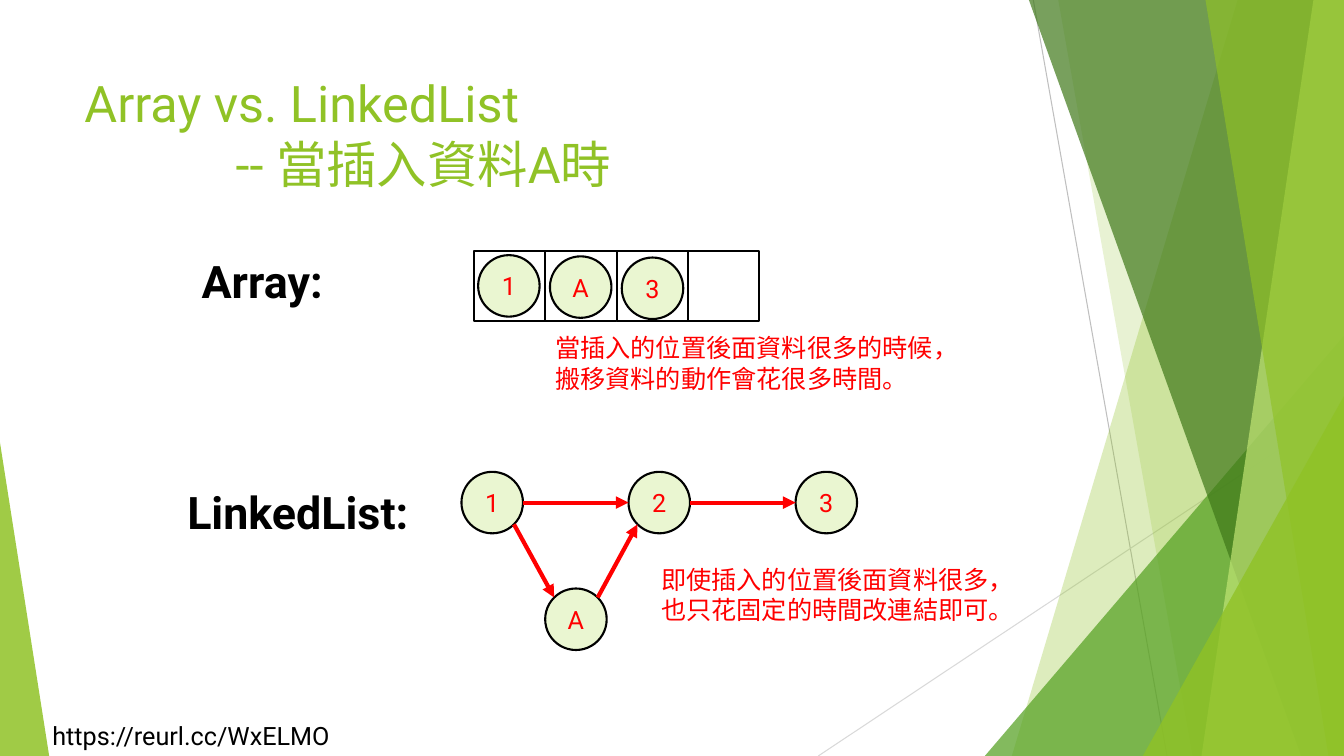
import math
import pptx
import pptx.util
import pptx.dml.color
import pptx.enum.shapes
import pptx.enum.text
import pptx.oxml
import pptx.oxml.ns

Cm = pptx.util.Cm
Pt = pptx.util.Pt
Kind = pptx.enum.shapes.MSO_SHAPE
Fit = pptx.enum.text.MSO_AUTO_SIZE
Anchor = pptx.enum.text.MSO_ANCHOR
Align = pptx.enum.text.PP_ALIGN

WIDE, HIGH = 33.87, 19.05
FACE = "Roboto"
HUES = {
    "green": "90C226", "leaf": "54A021", "dark": "3F7819", "lime": "C0E474",
    "pale": "EAF6D1", "red": "FF0000", "black": "000000", "white": "FFFFFF",
    "gray": "BFBFBF", "light": "D9D9D9",
}

RAYS = [
    ((26.04, 0), (29.41, HIGH), "gray"),
    ((WIDE, 10.24), (20.62, HIGH), "light"),
]
FACETS = [
    ("band", (31.19, 25.5), "green", 30),
    ("band", (26.67, 30.05), "green", 20),
    ("wedge", (24.82, 8.46, 9.05, 1), "leaf", 72),
    ("band", (25.93, 32.79), "dark", 70),
    ("band", (33.1, 30.28), "lime", 70),
    ("band", (30.38, 33.48), "green", 65),
    ("wedge", (28.8, 9.98, 5.07, 1), "green", 80),
    ("wedge", (0, 11.15, 1.24, 0), "green", 85),
]
TITLE = [("Array vs. LinkedList", 0), ("-- 當插入資料A時", 3.81)]
TEXTS = [
    (["https://reurl.cc/WxELMO"], (1.07, 18.03, 7.92, 1.02), 18, "black", False),
    (["Array:"], (4.83, 6.27, 3.81, 1.63), 32, "black", True),
    (["LinkedList:"], (4.47, 12.09, 6.43, 1.63), 32, "black", True),
    (["當插入的位置後面資料很多的時候，", "搬移資料的動作會花很多時間。"],
     (13.74, 8.26, 10.77, 1.8), 18, "red", False),
    (["即使插入的位置後面資料很多，", "也只花固定的時間改連結即可。"],
     (16.41, 14.1, 9.5, 1.8), 18, "red", False),
]
SLOTS, ITEMS = 4, ["1", "A", "3"]
CELL = (11.94, 6.32, 1.8, 1.78)
DISK = 1.55
NODES = {
    "1": (11.63, 11.89), "2": (15.84, 11.89), "3": (20.05, 11.89),
    "A": (13.74, 14.83),
}
LINKS = [("1", 0, "2", 180), ("2", 0, "3", 180), ("A", -45, "2", 135), ("1", 45, "A", 225)]

deck = pptx.Presentation()
deck.slide_width, deck.slide_height = Cm(WIDE), Cm(HIGH)
page = deck.slides.add_slide(deck.slide_layouts[6])
shapes = page.shapes


def tint(name):
    return pptx.dml.color.RGBColor.from_string(HUES[name])


def node(tag, **attrs):
    part = pptx.oxml.parse_xml(f"<a:{tag} {pptx.oxml.ns.nsdecls('a')}/>")
    for key, val in attrs.items():
        part.set(key, str(val))
    return part


def paint(shape, fill, edge=None, alpha=None):
    shape.shadow.inherit = False
    shape.fill.solid()
    shape.fill.fore_color.rgb = tint(fill)
    if alpha:
        color = shape._element.spPr.find(".//" + pptx.oxml.ns.qn("a:srgbClr"))
        color.append(node("alpha", val=alpha * 1000))
    if edge:
        shape.line.color.rgb = tint(edge)
        shape.line.width = Pt(1.5)
    else:
        shape.line.fill.background()


def stroke(start, end, hue, width, head=False):
    line = shapes.add_connector(
        pptx.enum.shapes.MSO_CONNECTOR.STRAIGHT, *map(Cm, start + end))
    line.line.color.rgb = tint(hue)
    line.line.width = Pt(width)
    if head:
        line.line._get_or_add_ln().append(node("tailEnd", type="triangle"))
    line._element.spPr.append(node("effectLst"))


def write(para, text, size, hue, bold=False):
    run = para.add_run()
    run.text = text
    style = {"name": FACE, "size": Pt(size), "bold": bold}
    for key, val in style.items():
        setattr(run.font, key, val)
    run.font.color.rgb = tint(hue)
    run._r.get_or_add_rPr().append(node("ea", typeface=FACE))


def paras(frame, count):
    return [frame.paragraphs[0]] + [frame.add_paragraph() for _ in range(count - 1)]


def disk(label, left, top):
    ring = shapes.add_shape(Kind.OVAL, *map(Cm, (left, top, DISK, DISK)))
    paint(ring, "pale", "black")
    ring.text_frame.vertical_anchor = Anchor.MIDDLE
    para = ring.text_frame.paragraphs[0]
    para.alignment = Align.CENTER
    write(para, label, 18, "red")


def rim(label, angle):
    turn = math.radians(angle)
    left, top = NODES[label]
    half = DISK / 2
    return left + half + half * math.cos(turn), top + half + half * math.sin(turn)


for start, end, hue in RAYS:
    stroke(start, end, hue, 0.75)

for kind, place, hue, alpha in FACETS:
    if kind == "band":
        high, low = place
        build = shapes.build_freeform(Cm(high), Cm(0))
        edge = [(WIDE, 0), (WIDE, HIGH), (low, HIGH)]
        build.add_line_segments([(Cm(x), Cm(y)) for x, y in edge], close=True)
        facet = build.convert_to_shape()
    else:
        left, top, wide, tip = place
        facet = shapes.add_shape(
            Kind.ISOSCELES_TRIANGLE, *map(Cm, (left, top, wide, HIGH - top)))
        facet.adjustments[0] = tip
    paint(facet, hue, alpha=alpha)

frame = shapes.add_textbox(*map(Cm, (1.88, 1.7, 23.88, 3.66))).text_frame
frame.word_wrap = True
for para, (text, indent) in zip(paras(frame, len(TITLE)), TITLE):
    para._p.get_or_add_pPr().set("marL", str(Cm(indent)))
    write(para, text, 36, "green")

left, top, wide, high = CELL
for i in range(SLOTS):
    cell = shapes.add_shape(Kind.RECTANGLE, *map(Cm, (left + i * wide, top, wide, high)))
    paint(cell, "white", "black")
for i, label in enumerate(ITEMS):
    disk(label, 12.05 + i * 1.81, 6.43 + i * 0.03)

for label, place in NODES.items():
    disk(label, *place)
for first, out, last, into in LINKS:
    stroke(rim(first, out), rim(last, into), "red", 3, True)

for lines, place, size, hue, bold in TEXTS:
    frame = shapes.add_textbox(*map(Cm, place)).text_frame
    form = {"word_wrap": False, "auto_size": Fit.SHAPE_TO_FIT_TEXT}
    for key, val in form.items():
        setattr(frame, key, val)
    for para, text in zip(paras(frame, len(lines)), lines):
        write(para, text, size, hue, bold)

deck.save("out.pptx")
